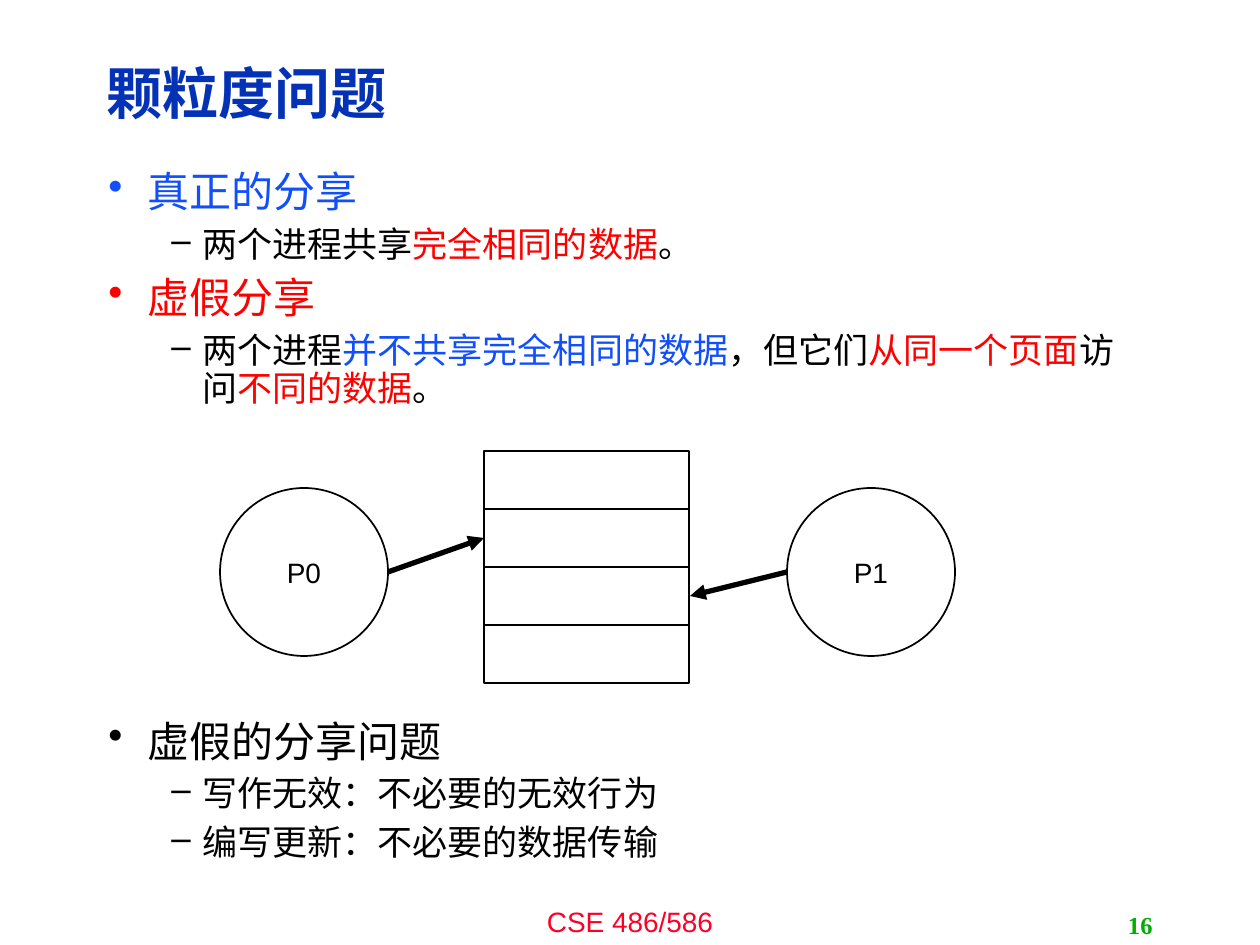
from dataclasses import dataclass

from lxml.etree import SubElement
from pptx import Presentation
from pptx.dml.color import RGBColor
from pptx.enum.shapes import MSO_CONNECTOR as Line, MSO_SHAPE as Shape
from pptx.enum.text import MSO_ANCHOR as Anchor, PP_ALIGN as Align
from pptx.oxml.ns import qn
from pptx.util import Pt

SCALE = 914400 / 126


@dataclass(frozen=True)
class Theme:
    """Colours, fonts and type sizes of the slide."""
    black: str = "000000"
    white: str = "FFFFFF"
    navy: str = "0332B7"
    blue: str = "114FFB"
    red: str = "FF0000"
    crimson: str = "FC0128"
    green: str = "00AE00"
    sans: str = "Arial"
    serif: str = "Times New Roman"
    title: int = 32
    topic: int = 24
    detail: int = 20
    label: int = 16
    number: int = 14


THEME = Theme()

LEVELS = [
    {"size": THEME.topic, "bullet": "•", "left": 39, "hang": 39},
    {"size": THEME.detail, "bullet": "–", "left": 94, "hang": 31},
]
DIAGRAM_GAP = 171

OUTLINE = [
    (0, 0, [("真正的分享", THEME.blue)]),
    (1, 0, [("两个进程共享", THEME.black), ("完全相同的数据", THEME.red), ("。", THEME.black)]),
    (0, 0, [("虚假分享", THEME.red)]),
    (1, 0, [("两个进程", THEME.black), ("并不共享完全相同的数据", THEME.blue),
            ("，但它们", THEME.black), ("从同一个页面", THEME.red), ("访问", THEME.black),
            ("不同的数据", THEME.red), ("。", THEME.black)]),
    (0, DIAGRAM_GAP, [("虚假的分享问题", THEME.black)]),
    (1, 0, [("写作无效：不必要的无效行为", THEME.black)]),
    (1, 0, [("编写更新：不必要的数据传输", THEME.black)]),
]


def px(*lengths):
    """Turn pixel lengths into a list of EMU."""
    return [round(length * SCALE) for length in lengths]


def apply(target, values):
    """Set each named attribute on the target."""
    for name, value in values.items():
        setattr(target, name, value)


def add_span(para, text, color, size, font=THEME.sans, bold=False):
    """Append one run of formatted text."""
    span = para.add_run()
    span.text = text
    apply(span.font, {"size": Pt(size), "name": font, "bold": bold})
    span.font.color.rgb = RGBColor.from_string(color)


def add_box(page, bounds, anchor=Anchor.TOP, wrap=True):
    """Add a text box and return its frame."""
    frame = page.shapes.add_textbox(*px(*bounds)).text_frame
    apply(frame, {"word_wrap": wrap, "vertical_anchor": anchor})
    return frame


def add_line_of_text(page, bounds, text, align, anchor, wrap=True, **style):
    """Add a text box that holds a single styled line."""
    para = add_box(page, bounds, anchor, wrap).paragraphs[0]
    apply(para, {"alignment": align, "line_spacing": 0.9 if style["size"] == THEME.title else 1.0})
    add_span(para, text, **style)


def add_outline(page, bounds, items):
    """Add a two-level bulleted list with coloured spans."""
    frame = add_box(page, bounds)
    for index, (depth, gap, spans) in enumerate(items):
        para = frame.add_paragraph() if index else frame.paragraphs[0]
        level = LEVELS[depth]
        before = Pt(level["size"] * 0.3 + gap)
        apply(para, {"level": depth, "line_spacing": 0.9, "space_before": before})
        left, indent = px(level["left"], -level["hang"])
        props = para._p.get_or_add_pPr()
        props.set("marL", str(left))
        props.set("indent", str(indent))
        SubElement(props, qn("a:buChar")).set("char", level["bullet"])
        for text, color in spans:
            add_span(para, text, color, level["size"])


def add_outlined(page, kind, bounds, label=""):
    """Add a white shape with a thin black outline and an optional label."""
    shape = page.shapes.add_shape(kind, *px(*bounds))
    shape.shadow.inherit = False
    shape.fill.solid()
    shape.fill.fore_color.rgb = RGBColor.from_string(THEME.white)
    shape.line.color.rgb = RGBColor.from_string(THEME.black)
    shape.line.width = Pt(1)
    if label:
        shape.text_frame.vertical_anchor = Anchor.MIDDLE
        para = shape.text_frame.paragraphs[0]
        para.alignment = Align.CENTER
        add_span(para, label, THEME.black, THEME.label)


def add_arrow(page, start, end):
    """Add a thick black arrow from start to end."""
    arrow = page.shapes.add_connector(Line.STRAIGHT, *px(*start, *end))
    arrow.line.color.rgb = RGBColor.from_string(THEME.black)
    arrow.line.width = Pt(3)
    SubElement(arrow.line._get_or_add_ln(), qn("a:tailEnd")).set("type", "triangle")
    SubElement(arrow._element.spPr, qn("a:effectLst"))


def add_sharing_diagram(page):
    """Draw two processes that point into different parts of one page."""
    for label, left in (("P0", 220), ("P1", 787)):
        add_outlined(page, Shape.OVAL, (left, 488, 168, 168), label)
    for row in range(4):
        add_outlined(page, Shape.RECTANGLE, (484, 451 + 58 * row, 205, 58))
    add_arrow(page, (388, 572), (484, 538))
    add_arrow(page, (787, 572), (690, 596))


def main():
    """Build the slide and save it."""
    deck = Presentation()
    deck.slide_width, deck.slide_height = px(1260, 945)
    page = deck.slides.add_slide(deck.slide_layouts[6])
    add_line_of_text(page, (420, 898, 420, 47), "CSE 486/586", Align.CENTER, Anchor.TOP,
                     color=THEME.crimson, size=THEME.label)
    add_line_of_text(page, (94, 45, 1005, 102), "颗粒度问题", Align.LEFT, Anchor.MIDDLE,
                     color=THEME.navy, size=THEME.title, bold=True)
    add_outline(page, (96, 165, 1058, 741), OUTLINE)
    add_line_of_text(page, (903, 905, 262, 40), "16", Align.RIGHT, Anchor.MIDDLE, wrap=False,
                     color=THEME.green, size=THEME.number, font=THEME.serif, bold=True)
    add_sharing_diagram(page)
    deck.save("out.pptx")


if __name__ == "__main__":
    main()
